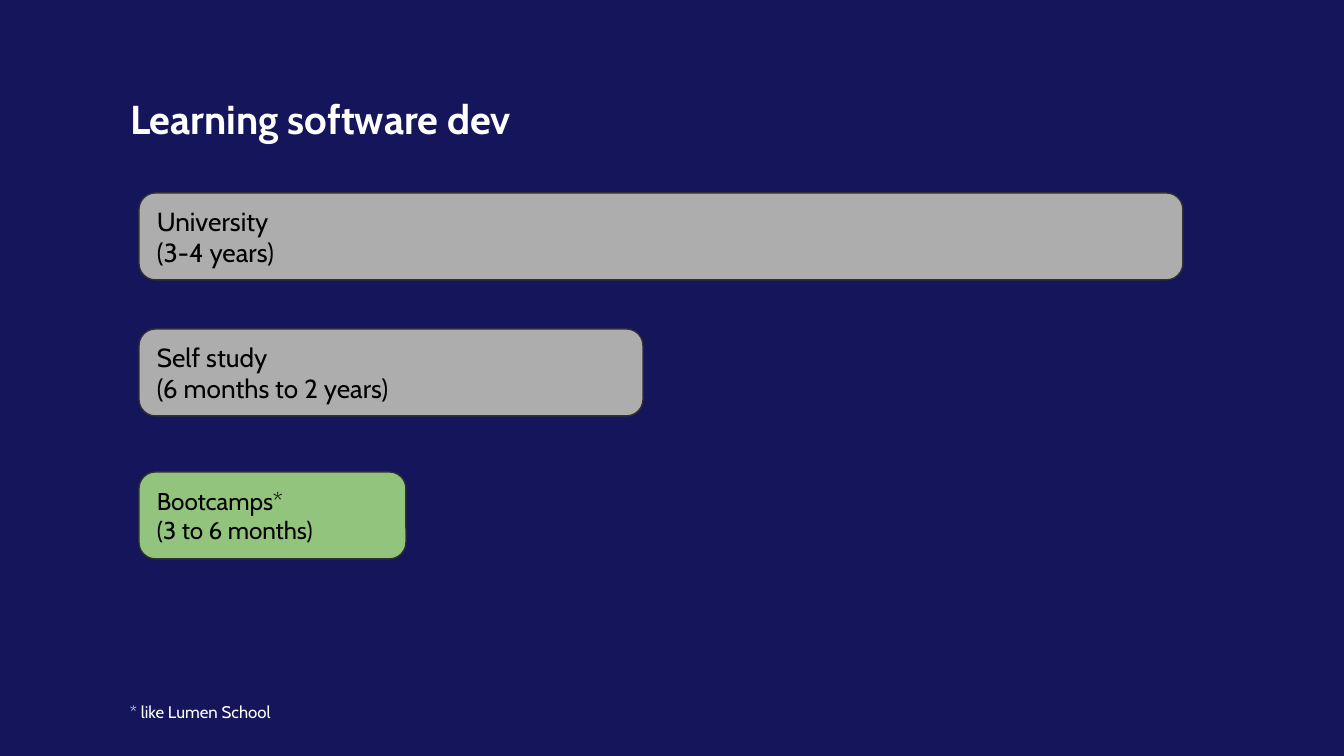
from typing import NamedTuple

from pptx import Presentation
from pptx.dml.color import RGBColor
from pptx.enum.shapes import MSO_SHAPE
from pptx.enum.text import MSO_ANCHOR, MSO_AUTO_SIZE, PP_ALIGN
from pptx.util import Emu, Pt

FONT = "Cabin"
EMU_PER_PX = 914400 / 134.4
PADDING = 13
BAR_LEFT, BAR_HEIGHT = 139, 87
GREY, GREEN = "ADADAD", "93C47D"


class Bar(NamedTuple):
    name: str
    duration: str
    top: int
    width: int
    fill: str
    size: int


BARS = [
    Bar("University", "(3-4 years)", 193, 1044, GREY, 14),
    Bar("Self study", "(6 months to 2 years)", 329, 504, GREY, 14),
    Bar("Bootcamps*", "(3 to 6 months)", 472, 267, GREEN, 13),
]


def px(length: int) -> Emu:
    return Emu(round(length * EMU_PER_PX))


def color(value: str) -> RGBColor:
    return RGBColor.from_string(value)


def write(box, *lines: str, size: float, ink: str = "FFFFFF",
          bold: bool = False, anchor=MSO_ANCHOR.TOP) -> None:
    """Fill a shape with one left-aligned paragraph per line."""
    frame = box.text_frame
    frame.word_wrap = True
    frame.auto_size = MSO_AUTO_SIZE.NONE
    frame.vertical_anchor = anchor
    frame.margin_left = frame.margin_right = px(PADDING)
    frame.margin_top = frame.margin_bottom = px(PADDING)
    for index, line in enumerate(lines):
        paragraph = frame.paragraphs[0] if index == 0 else frame.add_paragraph()
        paragraph.alignment = PP_ALIGN.LEFT
        paragraph.line_spacing = 1.0
        paragraph.space_before = Pt(0)
        span = paragraph.add_run()
        span.text = line
        span.font.name = FONT
        span.font.size = Pt(size)
        span.font.bold = bold
        span.font.color.rgb = color(ink)


def draw_bar(page, bar: Bar) -> None:
    box = page.shapes.add_shape(MSO_SHAPE.ROUNDED_RECTANGLE, px(BAR_LEFT),
                                px(bar.top), px(bar.width), px(BAR_HEIGHT))
    box.adjustments[0] = 0.19
    box.shadow.inherit = False
    box.fill.solid()
    box.fill.fore_color.rgb = color(bar.fill)
    box.line.color.rgb = color("303030")
    box.line.width = Pt(0.75)
    write(box, bar.name, bar.duration, size=bar.size, ink="000000",
          anchor=MSO_ANCHOR.MIDDLE)


def main() -> None:
    deck = Presentation()
    deck.slide_width, deck.slide_height = px(1344), px(756)
    page = deck.slides.add_slide(deck.slide_layouts[5])
    page.background.fill.solid()
    page.background.fill.fore_color.rgb = color("15155B")

    title = page.shapes.title
    title.left, title.top = px(117), px(81)
    title.width, title.height = px(600), px(59)
    write(title, "Learning software dev", size=21.6, bold=True)

    footnote = page.shapes.add_textbox(px(117), px(689), px(300), px(43))
    write(footnote, "* like Lumen School", size=9)

    for bar in BARS:
        draw_bar(page, bar)
    deck.save("out.pptx")


if __name__ == "__main__":
    main()
